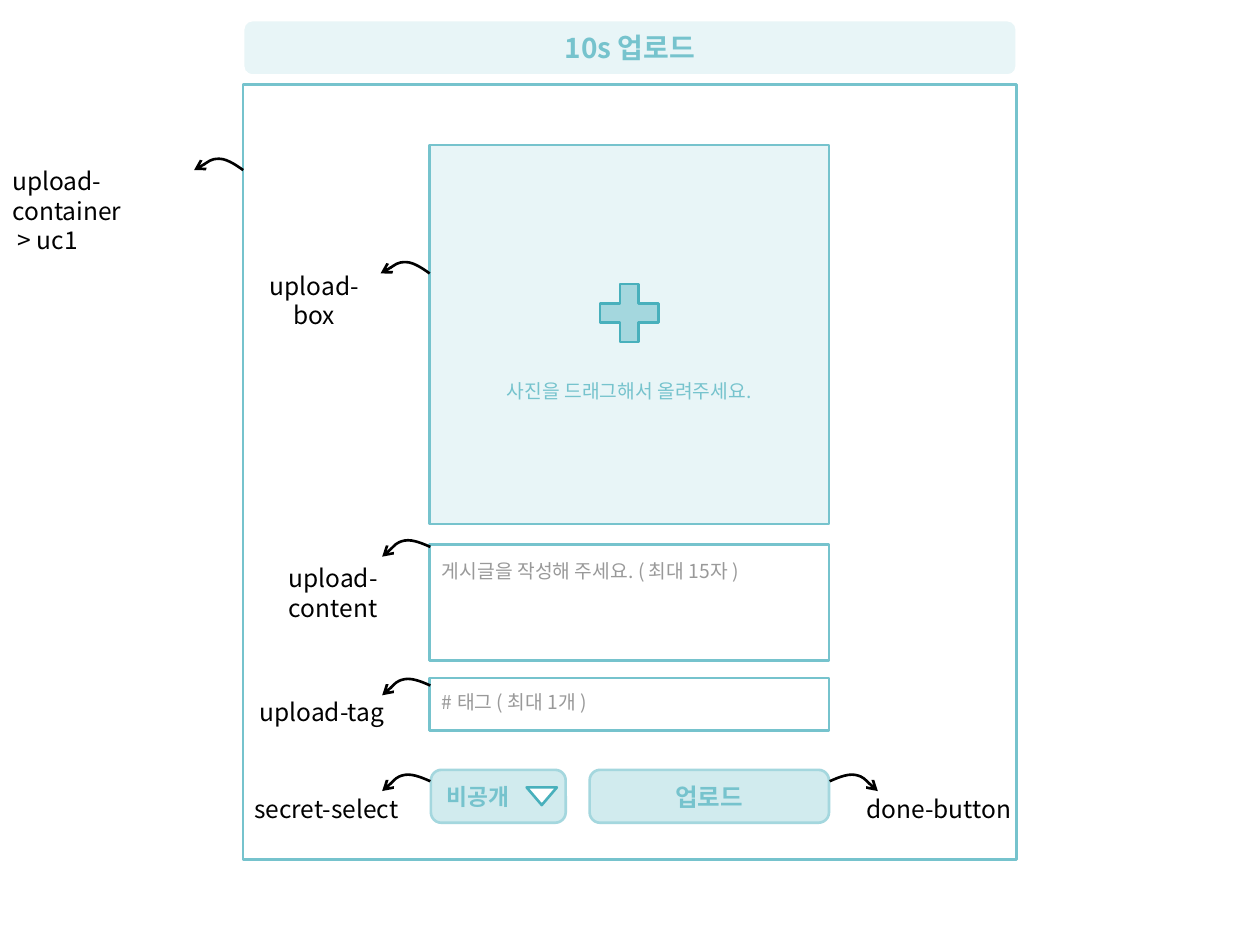
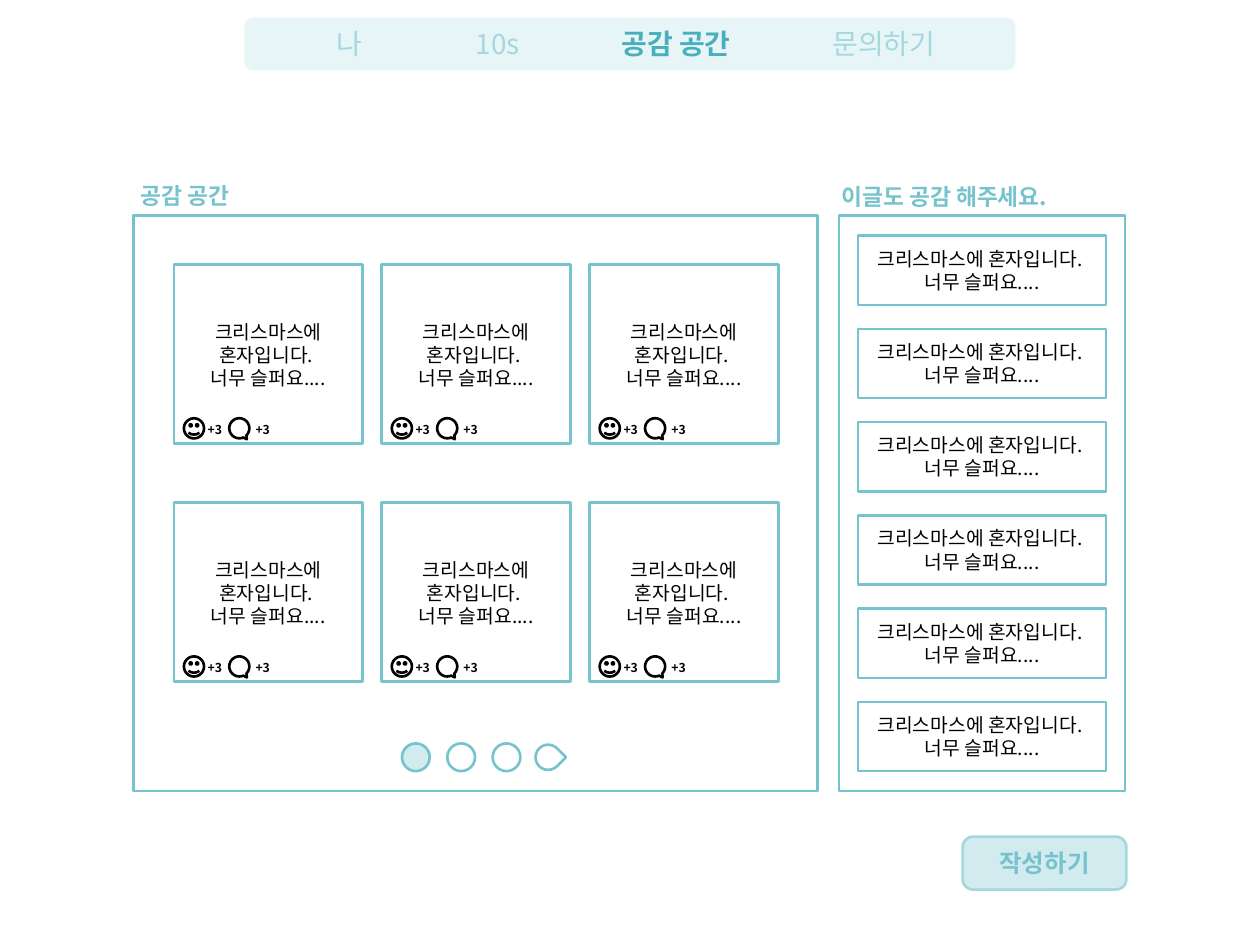
from dataclasses import dataclass
from itertools import product

from lxml import etree
from pptx import Presentation
from pptx import util as u
from pptx.dml.color import RGBColor
from pptx.enum import shapes, text
from pptx.oxml import ns

KIND = shapes.MSO_SHAPE
LEFT, CENTER = text.PP_ALIGN.LEFT, text.PP_ALIGN.CENTER


@dataclass(frozen=True)
class Theme:
    font: str = "Noto Sans CJK KR"
    white: str = "FFFFFF"
    ink: str = "000000"
    hint: str = "999999"
    pale: str = "E8F5F7"
    soft: str = "D1EBEE"
    light: str = "A4D7DE"
    main: str = "76C3CD"
    strong: str = "48B0BC"
    title: int = 16
    label: int = 14
    heading: int = 13
    body: int = 11
    count: int = 7
    line: float = 1.5
    leading: float = 1.21


THEME = Theme()

UPLOAD_TITLE = "10s 업로드"
DROP_HINT = "사진을 드래그해서 올려주세요."
CONTENT_HINT = "게시글을 작성해 주세요. ( 최대 15자 )"
TAG_HINT = "# 태그 ( 최대 1개 )"
SECRET, DONE, WRITE = "비공개", "업로드", "작성하기"

ANNOTATIONS = [
    ("upload-container\n > uc1", (0, 1.27, 1.69, 0.56), LEFT),
    ("upload-box", (1.93, 2.1, 1.13, 0.33), CENTER),
    ("upload-content", (1.88, 4.42, 1.53, 0.33), CENTER),
    ("upload-tag", (1.93, 5.48, 1.25, 0.33), CENTER),
    ("secret-select", (1.85, 6.25, 1.48, 0.32), CENTER),
    ("done-button", (6.71, 6.25, 1.48, 0.32), CENTER),
]
ARROWS = [
    (1.93, 1.26, -1, 0),
    (3.41, 2.08, -1, 0),
    (3.41, 4.29, -1, -11.5),
    (3.41, 5.39, -1, -11.5),
    (3.41, 6.15, -1, -11.5),
    (6.59, 6.15, 1, 11.5),
]
ARROW_CURVE = [(0, 0.09), (0.03, 0.07), (0.12, 0), (0.19, 0),
               (0.26, 0), (0.36, 0.08), (0.39, 0.09)]

MENU = [
    ("나", 2.4, 0.74, False),
    ("10s", 3.58, 0.74, False),
    ("공감 공간", 4.76, 1.21, True),
    ("문의하기", 6.41, 1.21, False),
]
HEADINGS = [
    ("공감 공간", (1.02, 1.39, 0.98, 0.32)),
    ("이글도 공감 해주세요.", (6.58, 1.4, 2.36, 0.31)),
]
POST = "크리스마스에 혼자입니다. \n너무 슬퍼요...."
REACTION_COUNT = "+3"
CARD_COLUMNS, CARD_ROWS, SUGGESTIONS, PAGES = 3, 2, 6, 3


def inches(values):
    return [u.Inches(value) for value in values]


def write(shape, content, size, color, bold=False, align=CENTER, wrap=True):
    frame = shape.text_frame
    frame.word_wrap = wrap
    frame.text = content
    for paragraph in frame.paragraphs:
        paragraph.alignment = align
        paragraph.line_spacing = u.Pt(round(size * THEME.leading, 1))
        for run in paragraph.runs:
            run.font.name = THEME.font
            run.font.size = u.Pt(size)
            run.font.bold = bold
            run.font.color.rgb = RGBColor.from_string(color)
            east_asian = etree.SubElement(run.font._element, ns.qn("a:ea"))
            east_asian.set("typeface", THEME.font)


def add_text(slide, box, content, size, color, **style):
    write(slide.shapes.add_textbox(*inches(box)), content, size, color, **style)


def paint(shape, fill, line):
    shape.shadow.inherit = False
    if fill:
        shape.fill.solid()
        shape.fill.fore_color.rgb = RGBColor.from_string(fill)
    else:
        shape.fill.background()
    shape.line.color.rgb = RGBColor.from_string(line)
    shape.line.width = u.Pt(THEME.line)


def add_box(slide, box, fill=None, line=THEME.main, kind=KIND.RECTANGLE,
            adjust=(), rotation=0, flip=None):
    shape = slide.shapes.add_shape(kind, *inches(box))
    paint(shape, fill, line)
    for index, value in enumerate(adjust):
        shape.adjustments[index] = value
    shape.rotation = rotation
    if flip:
        shape.element.spPr.get_or_add_xfrm().set(flip, "1")
    return shape


def add_band(slide, top):
    add_box(slide, (1.93, top, 6.14, 0.44), THEME.pale, THEME.white,
            KIND.ROUNDED_RECTANGLE, (0.167,))


def add_button(slide, box, content, size=THEME.label, align=CENTER):
    button = add_box(slide, box, THEME.soft, THEME.light,
                     KIND.ROUNDED_RECTANGLE, (0.198,))
    button.text_frame.vertical_anchor = text.MSO_ANCHOR.MIDDLE
    write(button, content, size, THEME.main, bold=True, align=align)


def add_curved_arrow(slide, start, top, direction, rotation):
    points = [inches((start + direction * x, top + y)) for x, y in ARROW_CURVE]
    builder = slide.shapes.build_freeform(*points[0])
    builder.add_line_segments(points[1:], close=False)
    arrow = builder.convert_to_shape()
    paint(arrow, None, THEME.ink)
    arrow.rotation = rotation
    outline = next(arrow.element.iter(ns.qn("a:path")))
    segments = outline.findall(ns.qn("a:lnTo"))
    for first in range(0, len(segments), 3):
        curve = etree.SubElement(outline, ns.qn("a:cubicBezTo"))
        for segment in segments[first:first + 3]:
            curve.append(segment[0])
            outline.remove(segment)
    head = etree.SubElement(arrow.line._get_or_add_ln(), ns.qn("a:tailEnd"))
    head.set("type", "arrow")


def add_card(slide, left, top):
    add_box(slide, (left, top, 1.5, 1.42), THEME.white)
    add_text(slide, (left, top + 0.39, 1.5, 0.65), POST, THEME.body, THEME.ink)
    icon_top = top + 1.22
    add_box(slide, (left + 0.44, icon_top, 0.16, 0.16), THEME.white, THEME.ink,
            KIND.OVAL_CALLOUT, (-0.208, 0.625), 343.9, "flipH")
    add_box(slide, (left + 0.08, icon_top, 0.16, 0.16), THEME.white, THEME.ink,
            KIND.SMILEY_FACE, (0.047,))
    for offset in (0.17, 0.55):
        add_text(slide, (left + offset, top + 1.2, 0.32, 0.21), REACTION_COUNT,
                 THEME.count, THEME.ink, bold=True, align=LEFT, wrap=False)


def build_upload(slide):
    add_box(slide, (3.41, 4.32, 3.17, 0.92), THEME.white)
    add_box(slide, (3.41, 1.15, 3.17, 3.01), THEME.pale)
    add_text(slide, (3.41, 4.39, 3.17, 0.46), CONTENT_HINT,
             THEME.body, THEME.hint, align=LEFT)
    add_box(slide, (1.93, 0.67, 6.14, 6.15))
    add_button(slide, (4.68, 6.11, 1.9, 0.42), DONE)
    add_box(slide, (4.68, 2.17, 0.63, 0.63), THEME.light, THEME.strong,
            KIND.MATH_PLUS, (0.235,))
    add_text(slide, (3.41, 2.96, 3.17, 0.29), DROP_HINT, THEME.body, THEME.main)
    add_band(slide, 0.16)
    add_text(slide, (4.25, 0.19, 1.5, 0.37), UPLOAD_TITLE,
             THEME.title, THEME.main, bold=True)
    add_box(slide, (3.41, 5.38, 3.17, 0.42), THEME.white)
    add_text(slide, (3.41, 5.43, 3.17, 0.29), TAG_HINT,
             THEME.body, THEME.hint, align=LEFT)
    add_button(slide, (3.42, 6.11, 1.07, 0.42), SECRET, THEME.heading, LEFT)
    add_box(slide, (4.18, 6.25, 0.24, 0.14), THEME.white, THEME.strong,
            KIND.ISOSCELES_TRIANGLE, flip="flipV")
    for arrow, (label, box, align) in zip(ARROWS, ANNOTATIONS):
        add_curved_arrow(slide, *arrow)
        add_text(slide, box, label, THEME.label, THEME.ink, align=align)


def build_empathy(slide):
    add_box(slide, (1.06, 1.71, 5.43, 4.57))
    add_box(slide, (6.66, 1.71, 2.27, 4.57))
    for heading, box in HEADINGS:
        add_text(slide, box, heading, THEME.heading, THEME.main,
                 bold=True, align=LEFT)
    for row, column in product(range(CARD_ROWS), range(CARD_COLUMNS)):
        add_card(slide, 1.38 + 1.65 * column, 2.1 + 1.89 * row)
    for index in range(SUGGESTIONS):
        top = 1.87 + 0.74 * index
        add_box(slide, (6.81, top, 1.97, 0.55), THEME.white)
        add_text(slide, (6.81, top + 0.04, 1.97, 0.46), POST,
                 THEME.body, THEME.ink)
    for page in range(PAGES):
        add_box(slide, (3.19 + 0.36 * page, 5.9, 0.22, 0.22),
                THEME.white if page else THEME.soft, kind=KIND.OVAL)
    add_box(slide, (4.25, 5.91, 0.2, 0.2), kind=KIND.TEAR, adjust=(1,),
            rotation=135, flip="flipH")
    add_button(slide, (7.64, 6.64, 1.3, 0.42), WRITE)
    add_band(slide, 0.13)
    for item, left, width, active in MENU:
        add_text(slide, (left, 0.16, width, 0.37), item, THEME.title,
                 THEME.strong if active else THEME.light, bold=active)


def main():
    presentation = Presentation()
    presentation.slide_width, presentation.slide_height = inches((10, 7.5))
    for build in (build_upload, build_empathy):
        build(presentation.slides.add_slide(presentation.slide_layouts[6]))
    presentation.save("out.pptx")


if __name__ == "__main__":
    main()
